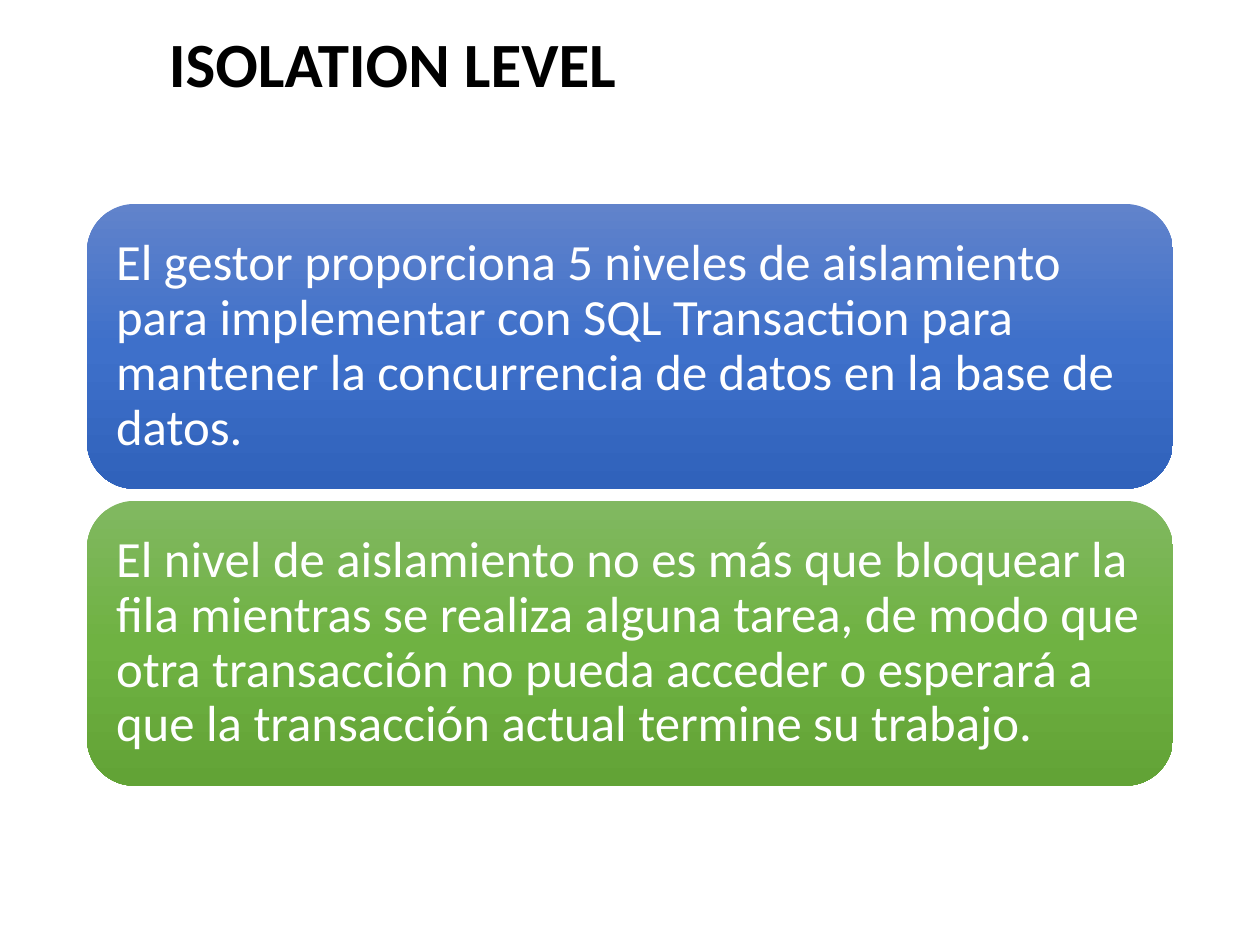
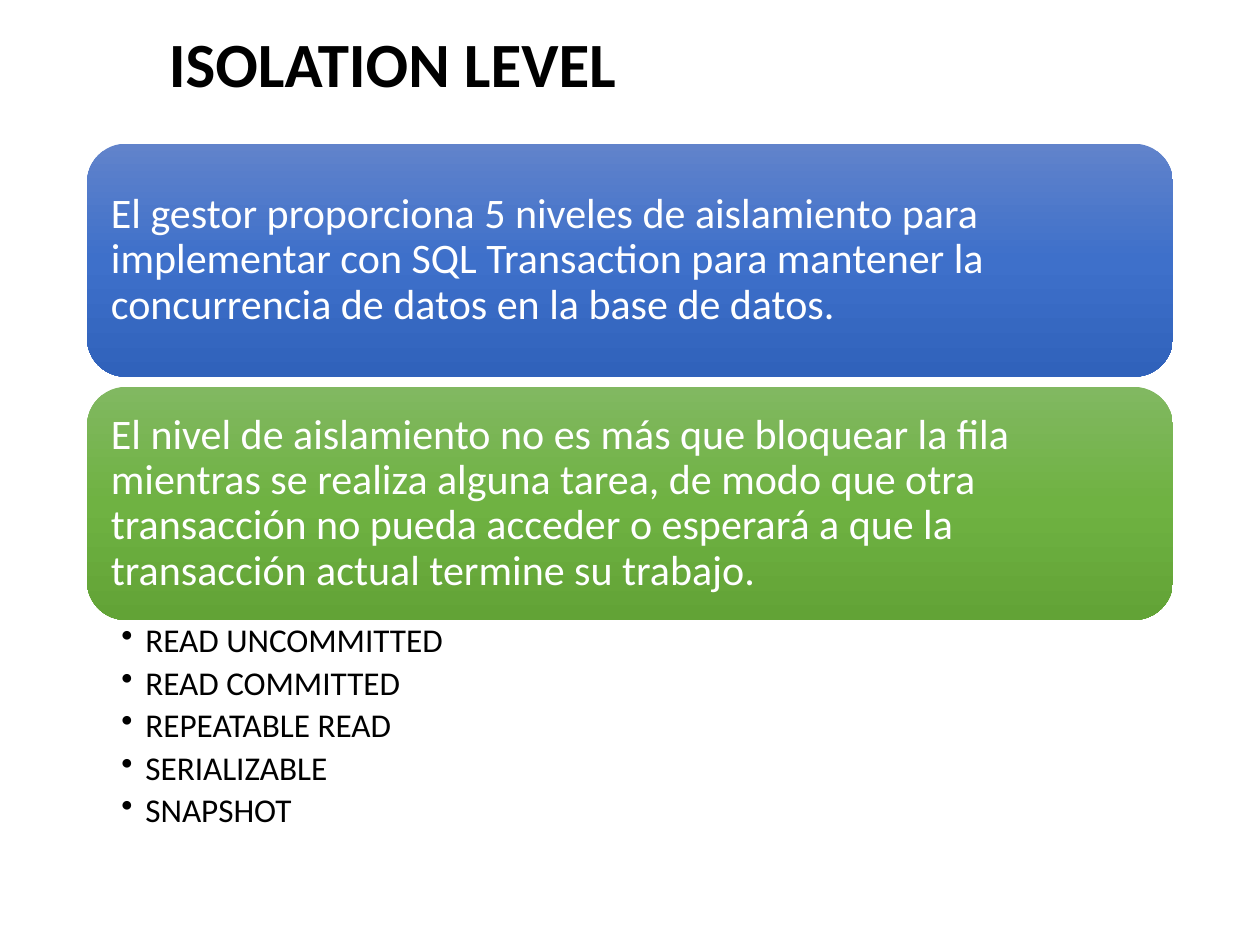
from copy import deepcopy

from pptx import Presentation
from pptx.dml.color import RGBColor
from pptx.enum import shapes, text
from pptx.oxml import ns, parse_xml
from pptx.util import Pt

FONT = "Calibri"
BLACK = RGBColor(0x00, 0x00, 0x00)
WHITE = RGBColor(0xFF, 0xFF, 0xFF)
BLUES = [RGBColor(0x61, 0x83, 0xCB), RGBColor(0x3E, 0x70, 0xCA), RGBColor(0x30, 0x62, 0xBB)]
GREENS = [RGBColor(0x81, 0xB8, 0x61), RGBColor(0x6F, 0xB2, 0x42), RGBColor(0x62, 0xA3, 0x36)]

TITLE = "ISOLATION LEVEL"
PANELS = [
    ("El gestor proporciona 5 niveles de aislamiento para implementar con SQL "
     "Transaction para mantener la concurrencia de datos en la base de datos.", BLUES),
    ("El nivel de aislamiento no es más que bloquear la fila mientras se realiza "
     "alguna tarea, de modo que otra transacción no pueda acceder o esperará a que "
     "la transacción actual termine su trabajo.", GREENS),
]
LEVELS = ["READ UNCOMMITTED", "READ COMMITTED", "REPEATABLE READ", "SERIALIZABLE", "SNAPSHOT"]

LEFT, WIDTH = 49.7, 620.6
BULLET_INDENT = 13.7


def write(p, words, size, color, bold=False, after=0):
    """Add one run; after is the space below as a share of the text size."""
    p.alignment = text.PP_ALIGN.LEFT
    p.line_spacing = 0.9
    p.space_before = Pt(0)
    p.space_after = Pt(after * size)
    r = p.add_run()
    r.text = words
    r.font.name = FONT
    r.font.size = Pt(size)
    r.font.bold = bold
    r.font.color.rgb = color


def set_insets(tf, left, top, right, bottom):
    tf.margin_left, tf.margin_top = Pt(left), Pt(top)
    tf.margin_right, tf.margin_bottom = Pt(right), Pt(bottom)


def fill_gradient(sp, colors):
    """Fill from top to bottom with evenly spaced colours."""
    sp.fill.gradient()
    sp.fill.gradient_angle = 270
    stop_list = sp.element.spPr.find(".//" + ns.qn("a:gsLst"))
    while len(stop_list) < len(colors):
        stop_list.append(deepcopy(stop_list[-1]))
    for i, (stop, color) in enumerate(zip(sp.fill.gradient_stops, colors)):
        stop.position = i / (len(colors) - 1)
        stop.color.rgb = color


def add_titled_slide(prs):
    s = prs.slides.add_slide(prs.slide_layouts[5])
    title = s.shapes.title
    title.left, title.top, title.width, title.height = Pt(89.3), Pt(16.6), Pt(561.6), Pt(43.9)
    tf = title.text_frame
    tf.auto_size = text.MSO_AUTO_SIZE.NONE
    tf.vertical_anchor = text.MSO_ANCHOR.MIDDLE
    write(tf.paragraphs[0], TITLE, 36, BLACK, bold=True)
    return s


def add_panels(s, top, height, size):
    """Stack the panels from top down and return the bottom edge."""
    gap, inset = 0.24 * size, 0.3 * size
    for i, (words, colors) in enumerate(PANELS):
        sp = s.shapes.add_shape(shapes.MSO_SHAPE.ROUNDED_RECTANGLE, Pt(LEFT),
                                Pt(top + i * (height + gap)), Pt(WIDTH), Pt(height))
        sp.shadow.inherit = False
        sp.line.fill.background()
        fill_gradient(sp, colors)
        tf = sp.text_frame
        tf.word_wrap = True
        tf.vertical_anchor = text.MSO_ANCHOR.MIDDLE
        set_insets(tf, inset, inset, inset, inset)
        write(tf.paragraphs[0], words, size, WHITE, after=0.35)
    return top + len(PANELS) * (height + gap) - gap


def add_level_list(s, top, height, size):
    tf = s.shapes.add_textbox(Pt(LEFT), Pt(top), Pt(WIDTH), Pt(height)).text_frame
    tf.word_wrap = True
    set_insets(tf, 19.7, 2.2, 13.7, 2.2)
    for i, level in enumerate(LEVELS):
        p = tf.add_paragraph() if i else tf.paragraphs[0]
        p.level = 1
        pPr = p._p.get_or_add_pPr()
        pPr.set("marL", str(Pt(BULLET_INDENT)))
        pPr.set("indent", str(-Pt(BULLET_INDENT)))
        pPr.append(parse_xml(f'<a:buChar {ns.nsdecls("a")} char="•"/>'))
        write(p, level, size, BLACK, after=0.2)


def main():
    prs = Presentation()
    prs.slide_width, prs.slide_height = Pt(720), Pt(540)

    add_panels(add_titled_slide(prs), top=116.6, height=162.7, size=29)

    s = add_titled_slide(prs)
    bottom = add_panels(s, top=82.1, height=133.2, size=24)
    add_level_list(s, bottom, height=128.9, size=19)

    prs.save("out.pptx")


if __name__ == "__main__":
    main()
